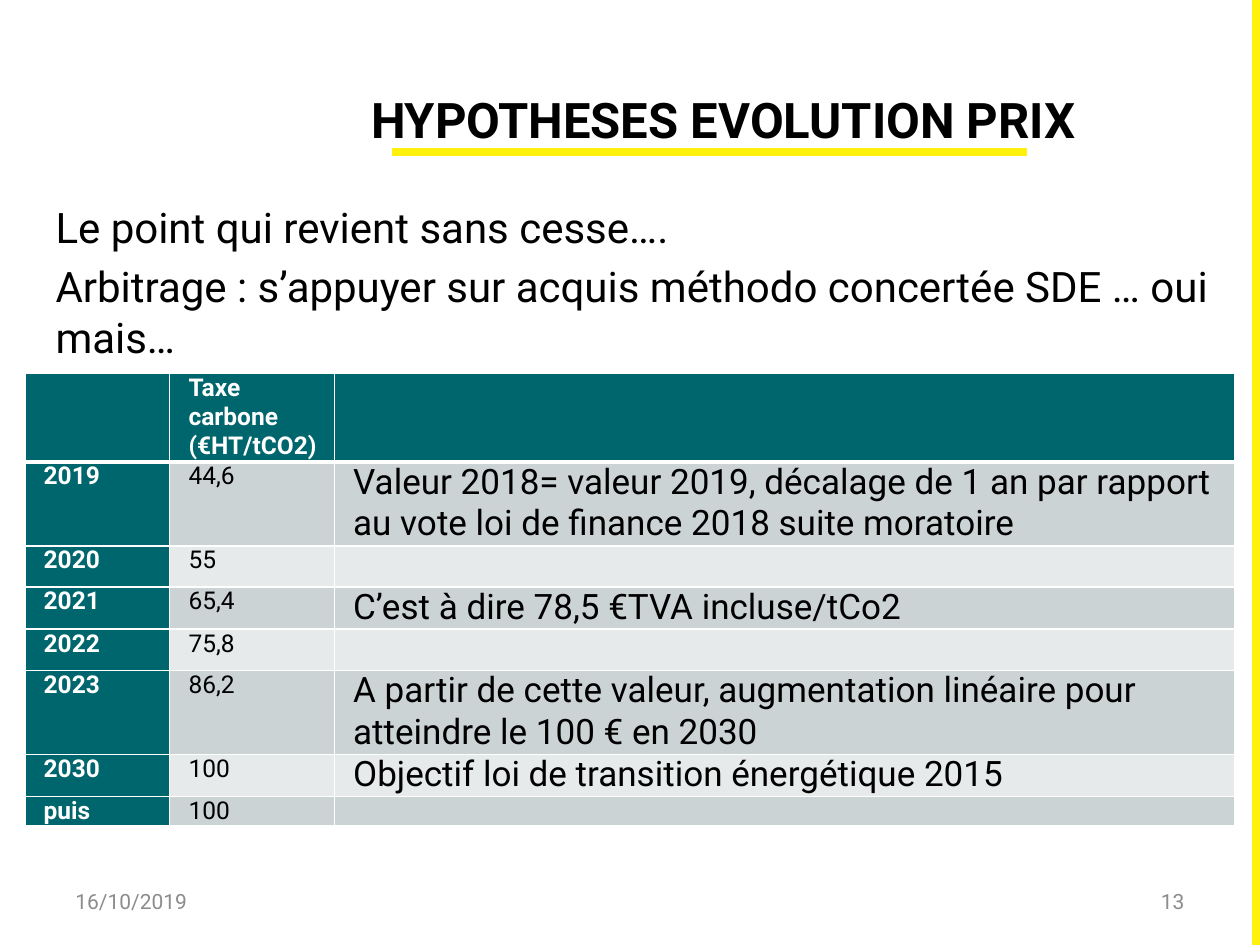
from dataclasses import dataclass

import pptx
import pptx.dml.color
import pptx.enum.shapes
import pptx.enum.text
import pptx.oxml.ns
import pptx.util
from lxml import etree

Cm = pptx.util.Cm
Pt = pptx.util.Pt
qn = pptx.oxml.ns.qn
ALIGN = pptx.enum.text.PP_ALIGN
ANCHOR = pptx.enum.text.MSO_ANCHOR


@dataclass(frozen=True)
class Theme:
    font: str = "Roboto"
    text: str = "000000"
    muted: str = "8C8C8C"
    white: str = "FFFFFF"
    accent: str = "FFF10B"
    teal: str = "00666E"
    bands: tuple = ("CCD3D5", "E7EAEB")
    title: int = 28
    body: int = 24
    comment: int = 20
    cell: int = 14
    footer: int = 12


THEME = Theme()

HEADER = ("", "Taxe carbone (€HT/tCO2)", "")
ROWS = (
    ("2019", "44,6", "Valeur 2018= valeur 2019, décalage de 1 an par rapport "
                     "au vote loi de finance 2018 suite moratoire"),
    ("2020", "55", ""),
    ("2021", "65,4", "C’est à dire 78,5 €TVA incluse/tCo2"),
    ("2022", "75,8", ""),
    ("2023", "86,2", "A partir de cette valeur, augmentation linéaire pour "
                     "atteindre le 100 € en 2030"),
    ("2030", "100", "Objectif loi de transition énergétique 2015"),
    ("puis", "100", ""),
)
COL_WIDTHS = (2.92, 3.32, 18.16)
ROW_HEIGHTS = (1.74, 1.66, 0.83, 0.83, 0.83, 1.66, 0.83, 0.6)


def rgb(color):
    return pptx.dml.color.RGBColor.from_string(color)


def set_font(p, size, color, bold=False):
    p.font.name = THEME.font
    p.font.size = Pt(size)
    p.font.bold = bold
    p.font.color.rgb = rgb(color)


def add_text(slide, box, lines, size, color=THEME.text, bold=False,
             align=ALIGN.LEFT, anchor=ANCHOR.TOP, gap=0):
    """Add a text box; gap is the space in points between paragraphs."""
    tf = slide.shapes.add_textbox(*map(Cm, box)).text_frame
    tf.word_wrap = True
    tf.vertical_anchor = anchor
    for i, line in enumerate(lines):
        p = tf.add_paragraph() if i else tf.paragraphs[0]
        p.text = line
        p.alignment = align
        if i:
            p.space_before = Pt(gap)
        set_font(p, size, color, bold)
    return tf


def add_rule(slide, *ends):
    line = slide.shapes.add_connector(
        pptx.enum.shapes.MSO_CONNECTOR.STRAIGHT, *map(Cm, ends))
    line.line.color.rgb = rgb(THEME.accent)
    line.line.width = Pt(4.5)
    etree.SubElement(line._element.spPr, qn("a:effectLst"))


def set_borders(cell, bottom, top):
    """Draw white cell borders; bottom and top are widths in points."""
    tcPr = cell._tc.get_or_add_tcPr()
    widths = (("lnL", 1), ("lnR", 1), ("lnT", top), ("lnB", bottom))
    for i, (side, width) in enumerate(widths):
        ln = etree.Element(qn(f"a:{side}"), w=str(Pt(width)))
        fill = etree.SubElement(ln, qn("a:solidFill"))
        etree.SubElement(fill, qn("a:srgbClr"), val=THEME.white)
        tcPr.insert(i, ln)


def fill_cell(cell, text, size, color, bold, fill):
    cell.margin_left, cell.margin_right = Cm(0.38), Cm(0.18)
    cell.margin_top = cell.margin_bottom = 0
    cell.fill.solid()
    cell.fill.fore_color.rgb = rgb(fill)
    p = cell.text_frame.paragraphs[0]
    set_font(p, size, color, bold)
    if text:
        p.text = text
    else:
        etree.SubElement(p._p, qn("a:endParaRPr"), sz=str(size * 100))


def add_price_table(slide):
    data = (HEADER, *ROWS)
    table = slide.shapes.add_table(
        len(data), len(COL_WIDTHS), Cm(0.5), Cm(7.53),
        Cm(sum(COL_WIDTHS)), Cm(sum(ROW_HEIGHTS))).table
    for col, width in zip(table.columns, COL_WIDTHS):
        col.width = Cm(width)
    for row, height in zip(table.rows, ROW_HEIGHTS):
        row.height = Cm(height)
    for r, values in enumerate(data):
        for c, value in enumerate(values):
            cell = table.cell(r, c)
            heading = r == 0 or c == 0
            fill_cell(
                cell, value,
                THEME.comment if c == 2 and value else THEME.cell,
                THEME.white if heading else THEME.text, heading,
                THEME.teal if heading else THEME.bands[(r - 1) % 2])
            set_borders(cell, bottom=3 if r == 0 else 1,
                        top=3 if r == 1 else 1)


def main():
    prs = pptx.Presentation()
    prs.slide_width, prs.slide_height = Cm(25.4), Cm(19.05)
    slide = prs.slides.add_slide(prs.slide_layouts[6])

    add_rule(slide, 25.32, 19.05, 25.32, 0)
    add_rule(slide, 7.9, 3.07, 20.7, 3.07)
    for left, text, align in ((1.27, "16/10/2019", ALIGN.LEFT),
                              (18.21, "13", ALIGN.RIGHT)):
        add_text(slide, (left, 17.65, 5.92, 1.02), [text], THEME.footer,
                 THEME.muted, align=align, anchor=ANCHOR.MIDDLE)
    tf = add_text(slide, (0.71, 3.94, 24.31, 12.83),
                  ["Le point qui revient sans cesse….",
                   "Arbitrage : s’appuyer sur acquis méthodo concertée SDE "
                   "… oui mais…"], THEME.body, gap=5)
    tf.margin_left = Cm(0.41)
    add_text(slide, (5.28, 0.53, 18.85, 2.59), ["HYPOTHESES EVOLUTION PRIX "],
             THEME.title, bold=True, align=ALIGN.CENTER, anchor=ANCHOR.BOTTOM)
    add_price_table(slide)

    prs.save("out.pptx")


if __name__ == "__main__":
    main()
